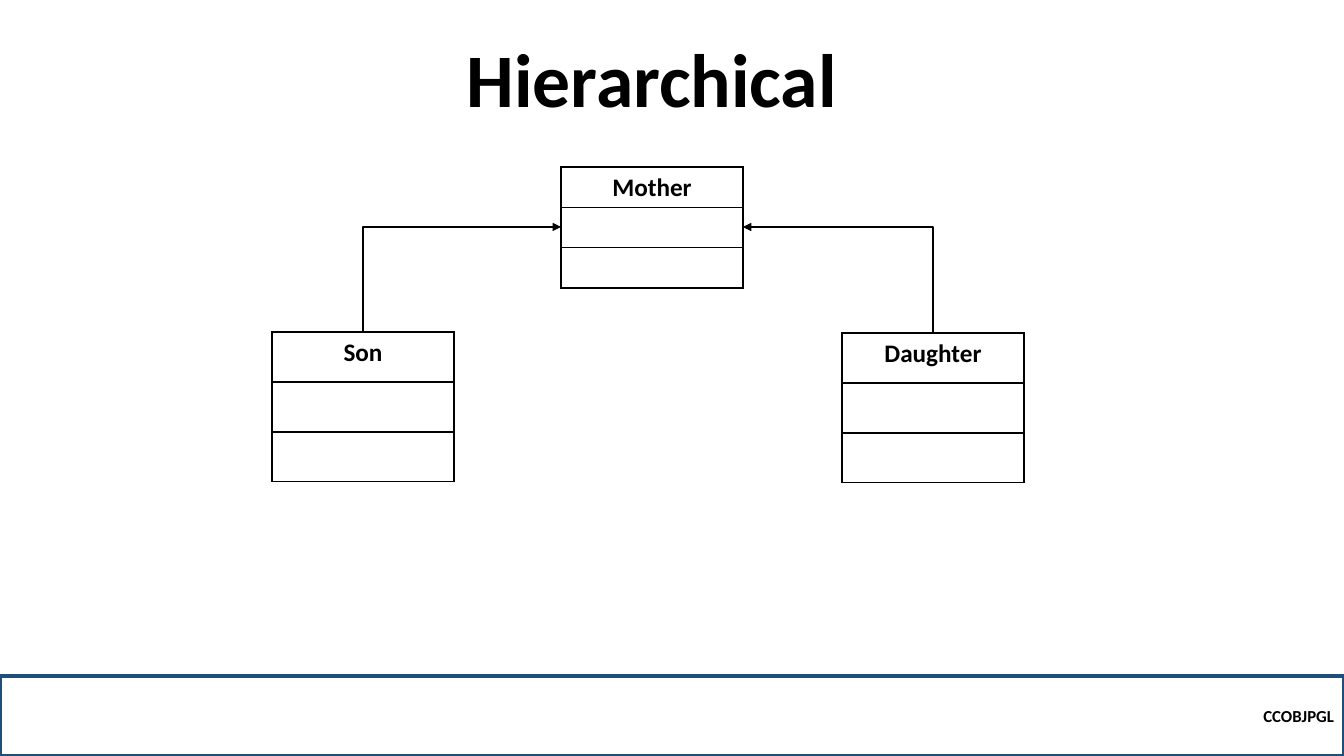
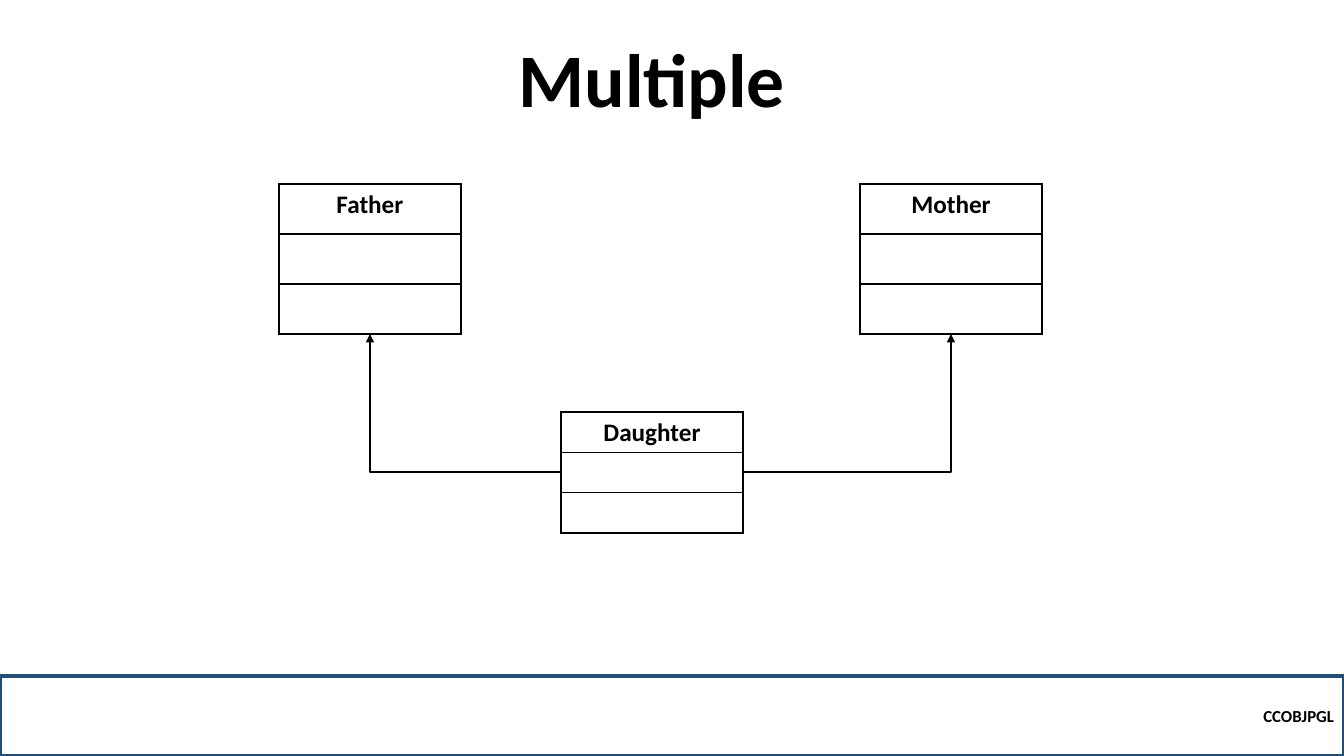
from pptx import Presentation
from pptx.dml.color import RGBColor
from pptx.enum.shapes import MSO_CONNECTOR as Connector, MSO_SHAPE as Shape
from pptx.enum.text import MSO_ANCHOR as Anchor, PP_ALIGN as Align
from pptx.oxml.ns import qn
from pptx.util import Emu, Pt
from lxml.etree import SubElement

WIDTH, HEIGHT = 1344, 756
SCALE = 12192000 / WIDTH
TOP, LEFT, BOTTOM, RIGHT = range(4)  # connection sites
SMALL_ROW, LARGE_ROW = 40, 50


def px(length):
    return Emu(round(length * SCALE))


def color(hex_string):
    return RGBColor.from_string(hex_string)


class Deck:
    FONT = "Calibri"
    INK = "000000"
    BAND_LINE = "1F4E79"
    FOOTER = "CCOBJPGL"
    CLASS_WIDTH = 182
    CLASS_ROWS = 3

    def __init__(self):
        self.prs = Presentation()
        self.prs.slide_width, self.prs.slide_height = px(WIDTH), px(HEIGHT)
        self.slide = None

    def new_slide(self, title):
        self.slide = self.prs.slides.add_slide(self.prs.slide_layouts[6])
        self.title(title)
        self.footer()

    def add_text(self, frame, text, size, align):
        paragraph = frame.paragraphs[0]
        paragraph.alignment = align
        run = paragraph.add_run()
        run.text = text
        font = run.font
        font.name, font.size, font.bold = self.FONT, Pt(size), True
        font.color.rgb = color(self.INK)
        return paragraph

    def title(self, text):
        box = self.slide.shapes.add_textbox(px(148), px(49), px(1008), px(80))
        frame = box.text_frame
        frame.word_wrap = True
        frame.vertical_anchor = Anchor.BOTTOM
        self.add_text(frame, text, 54, Align.CENTER).line_spacing = 0.9

    def footer(self):
        top = 676
        band = self.slide.shapes.add_shape(
            Shape.RECTANGLE, 0, px(top), px(WIDTH), px(HEIGHT - top))
        band.shadow.inherit = False
        band.fill.background()
        band.line.color.rgb = color(self.BAND_LINE)
        band.line.width = Pt(2.25)
        band.text_frame.vertical_anchor = Anchor.MIDDLE
        self.add_text(band.text_frame, self.FOOTER, 12, Align.RIGHT)

    def class_box(self, name, left, top, row_height):
        """Draw a one-column table: class name, attributes, methods."""
        frame = self.slide.shapes.add_table(
            self.CLASS_ROWS, 1, px(left), px(top),
            px(self.CLASS_WIDTH), px(row_height * self.CLASS_ROWS))
        table = frame.table
        table.first_row = table.horz_banding = False
        for cell in table.iter_cells():
            self.border(cell)
            cell.fill.background()
        self.add_text(table.cell(0, 0).text_frame, name, 18, Align.CENTER)
        return frame

    def border(self, cell):
        properties = cell._tc.get_or_add_tcPr()
        for side in ("a:lnL", "a:lnR", "a:lnT", "a:lnB"):
            line = SubElement(properties, qn(side), w=str(Pt(1)))
            fill = SubElement(line, qn("a:solidFill"))
            SubElement(fill, qn("a:srgbClr"), val=self.INK)

    def elbow(self, start, start_site, end, end_site, arrow):
        """Leave start sideways and turn once; arrow is headEnd or tailEnd."""
        link = self.slide.shapes.add_connector(Connector.ELBOW, 0, 0, 0, 0)
        link.begin_connect(start, start_site)
        link.end_connect(end, end_site)
        link.line.color.rgb = color(self.INK)
        link.line.width = Pt(1.5)
        properties = link._element.spPr
        properties.find(qn("a:prstGeom")).set("prst", "bentConnector2")
        SubElement(properties.find(qn("a:ln")), qn("a:" + arrow), type="triangle")
        SubElement(properties, qn("a:effectLst"))

    def family(self, title, center, left, right, side_site, arrow):
        """Build a slide with a central class linked to one on each side."""
        self.new_slide(title)
        middle = self.class_box(*center, SMALL_ROW)
        for side, site in ((left, LEFT), (right, RIGHT)):
            relative = self.class_box(*side, LARGE_ROW)
            self.elbow(middle, site, relative, side_site, arrow)


def main():
    deck = Deck()
    deck.family("Hierarchical", ("Mother", 561, 167),
                ("Son", 272, 332), ("Daughter", 842, 333), TOP, "headEnd")
    deck.family("Multiple", ("Daughter", 561, 412),
                ("Father", 279, 184), ("Mother", 860, 184), BOTTOM, "tailEnd")
    deck.prs.save("out.pptx")


if __name__ == "__main__":
    main()
